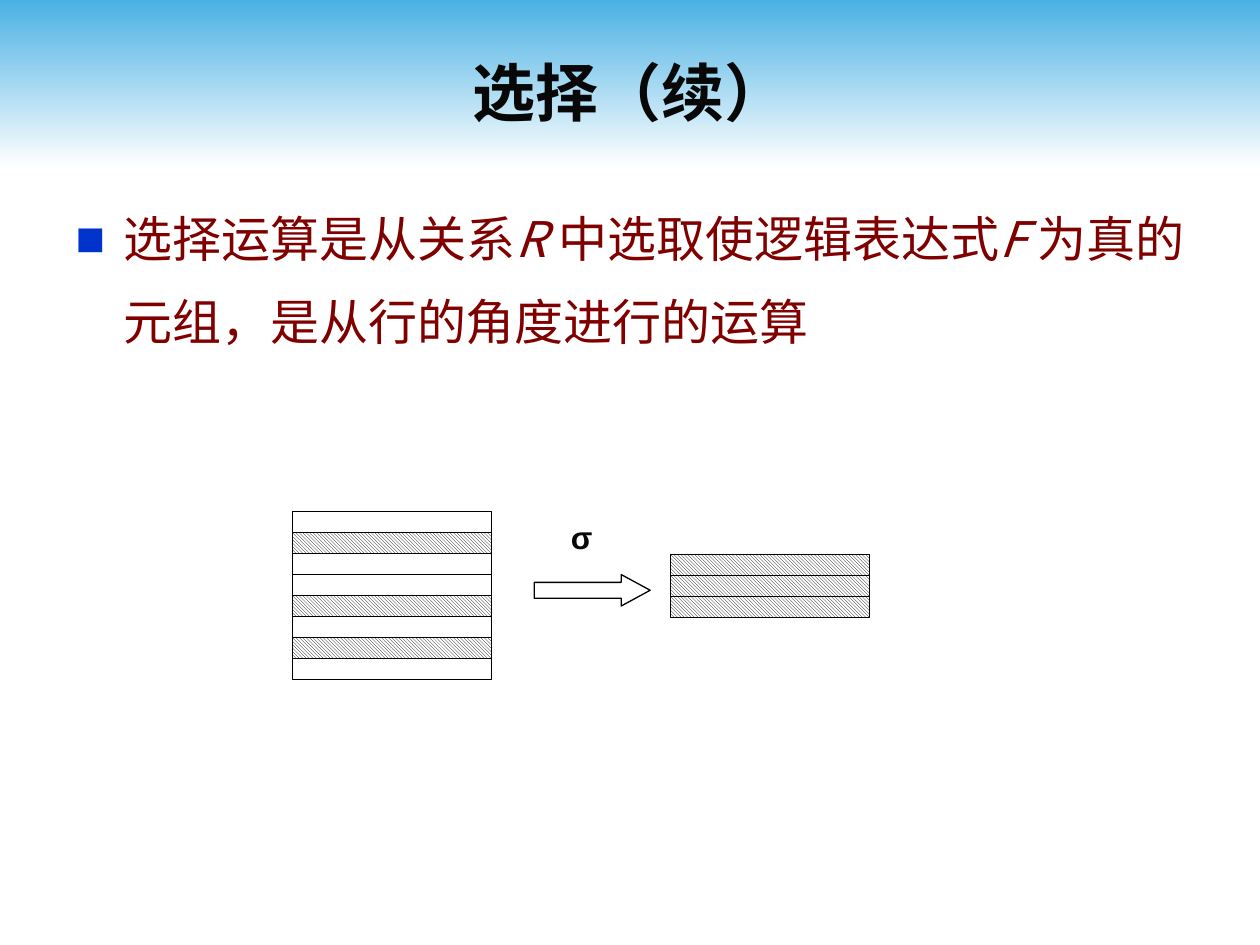
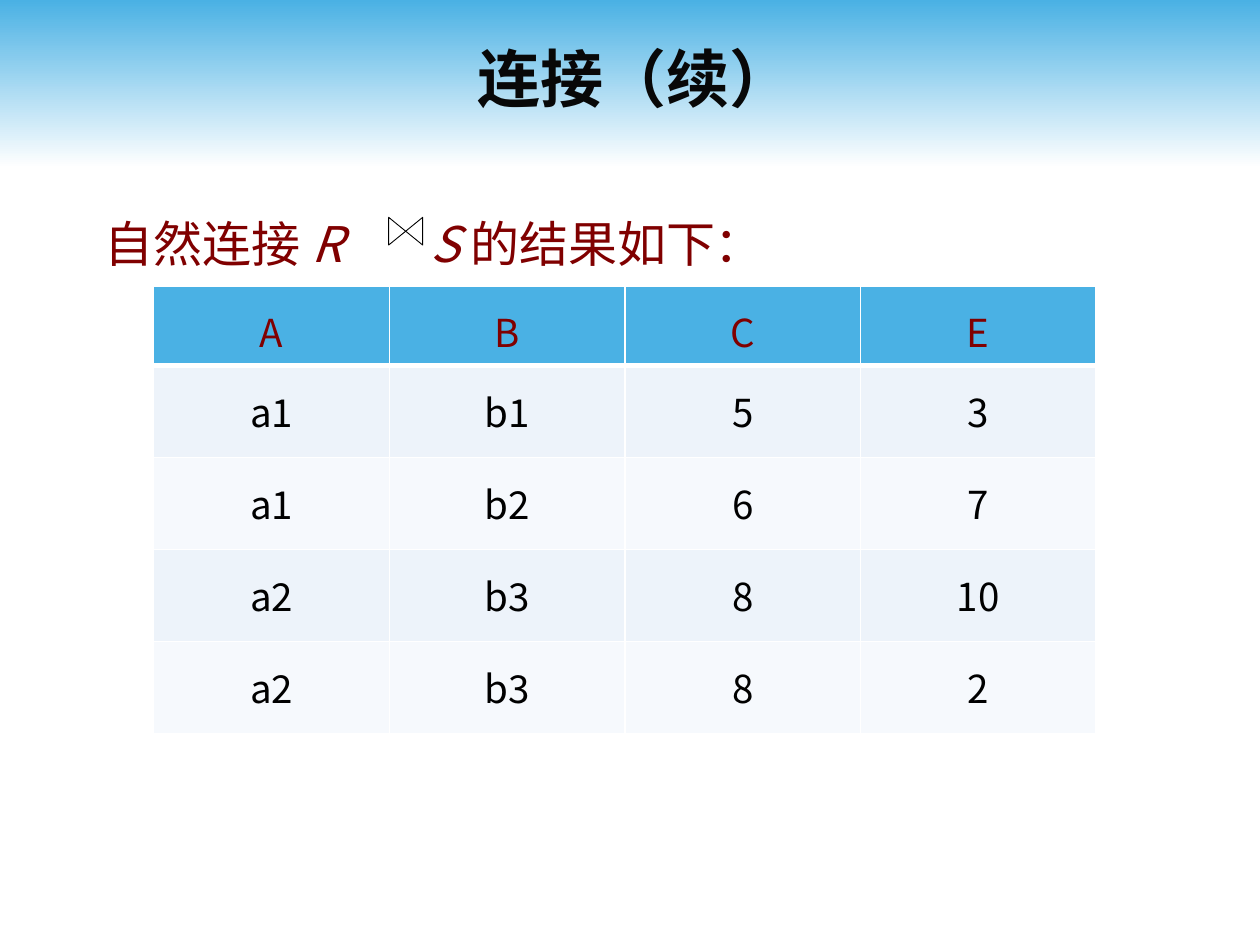
"""Build two slides on relational selection and natural join."""
from dataclasses import dataclass

from lxml import etree
from pptx import Presentation
from pptx import util as u
from pptx.dml.color import RGBColor
from pptx.enum import dml, shapes, text
from pptx.oxml import ns


@dataclass(frozen=True)
class Theme:
    """Colours, fonts and type sizes."""
    sky: str = "4AB1E4"
    white: str = "FFFFFF"
    black: str = "000000"
    ink: str = "080808"
    maroon: str = "800000"
    bullet: str = "0033CC"
    bands: tuple = ("EDF3FA", "F6F9FD")
    cjk: str = "Noto Sans CJK SC"
    latin: str = "Arial"
    title: int = 36
    body: int = 28
    cell: int = 22
    label: int = 18


def sub(parent, tag, **attrs):
    """Append a DrawingML element to parent."""
    return etree.SubElement(parent, ns.qn(tag), attrs)


class Deck:
    """Holds the theme and the current slide."""

    def __init__(self, theme):
        """Start an empty 10 by 7.5 inch presentation."""
        self.t = theme
        self.prs = Presentation()
        self.prs.slide_width, self.prs.slide_height = u.Inches(10), u.Inches(7.5)
        self.s = None

    def slide(self, title, at):
        """Add a slide with a formatted title."""
        self.s = self.prs.slides.add_slide(self.prs.slide_layouts[1])
        tf = self.place(self.s.shapes.title, at)
        tf.vertical_anchor = text.MSO_ANCHOR.MIDDLE
        p = tf.paragraphs[0]
        p.text = title
        p.alignment = text.PP_ALIGN.CENTER
        self.font(p, self.t.title, self.t.ink, bold=True)

    def master_band(self):
        """Put the gradient band at the back of the slide master."""
        band = self.shape(shapes.MSO_SHAPE.RECTANGLE, (0, 0, 10, 1.33), line=None)
        band.fill.gradient()
        band.fill.gradient_angle = 270
        for stop, colour in zip(band.fill.gradient_stops, (self.t.sky, self.t.white)):
            stop.color.rgb = RGBColor.from_string(colour)
        band.element.nvSpPr.cNvPr.set("id", "20")
        self.prs.slide_master.shapes.element.insert(2, band.element)

    def place(self, sp, at):
        """Move a shape and return its text frame."""
        sp.left, sp.top, sp.width, sp.height = map(u.Inches, at)
        tf = sp.text_frame
        tf.word_wrap = True
        tf.auto_size = text.MSO_AUTO_SIZE.NONE
        return tf

    def font(self, p, size, colour, name=None, bold=False):
        """Format a whole paragraph."""
        f = p.font
        f.size, f.bold, f.name = u.Pt(size), bold, name or self.t.cjk
        f.color.rgb = RGBColor.from_string(colour)
        sub(p._p.pPr.find(ns.qn("a:defRPr")), "a:ea", typeface=self.t.cjk)

    def body(self, at, runs, spacing, bullet=None, margin=0.1):
        """Fill the body placeholder with (text, italic, tracking) runs."""
        tf = self.place(self.s.placeholders[1], at)
        tf.margin_left = u.Inches(margin)
        p = tf.paragraphs[0]
        p.alignment = text.PP_ALIGN.JUSTIFY
        p.line_spacing, p.space_before = spacing, u.Pt(0)
        indent = u.Inches(0.38) if bullet else 0
        pPr = p._p.get_or_add_pPr()
        pPr.set("marL", str(indent))
        pPr.set("indent", str(-indent))
        if bullet:
            sub(sub(pPr, "a:buClr"), "a:srgbClr", val=self.t.bullet)
            sub(pPr, "a:buFont", typeface=self.t.latin)
            sub(pPr, "a:buChar", char=bullet)
        else:
            sub(pPr, "a:buNone")
        self.font(p, self.t.body, self.t.maroon)
        for words, italic, tracking in runs:
            r = p.add_run()
            r.text = words
            r.font.italic = italic
            if tracking:
                r._r.get_or_add_rPr().set("spc", str(tracking * 100))

    def shape(self, kind, at, line=0.75, hatched=False):
        """Add a white or hatched preset shape."""
        sp = self.s.shapes.add_shape(kind, *map(u.Inches, at))
        sp.shadow.inherit = False
        white, black = map(RGBColor.from_string, (self.t.white, self.t.black))
        if hatched:
            sp.fill.patterned()
            sp.fill.pattern = dml.MSO_PATTERN.LIGHT_DOWNWARD_DIAGONAL
            sp.fill.fore_color.rgb, sp.fill.back_color.rgb = black, white
        else:
            sp.fill.solid()
            sp.fill.fore_color.rgb = white
        if line:
            sp.line.color.rgb, sp.line.width = black, u.Pt(line)
        else:
            sp.line.fill.background()
        return sp

    def relation(self, left, top, rows, hatched):
        """Stack rows of a relation, hatching the selected ones."""
        for i in range(rows):
            self.shape(shapes.MSO_SHAPE.RECTANGLE, (left, top + i / 6, 1.58, 1 / 6),
                       hatched=i in hatched)

    def label(self, words, at):
        """Add a bold centred label."""
        tf = self.place(self.s.shapes.add_textbox(0, 0, 0, 0), at)
        p = tf.paragraphs[0]
        p.text = words
        p.alignment = text.PP_ALIGN.CENTER
        self.font(p, self.t.label, self.t.ink, self.t.latin, bold=True)

    def borders(self, cell, top, bottom):
        """Draw white cell borders with the given top and bottom widths."""
        tcPr = cell._tc.get_or_add_tcPr()
        for side, width in (("L", 1), ("R", 1), ("T", top), ("B", bottom)):
            ln = sub(tcPr, f"a:ln{side}", w=str(u.Pt(width)))
            sub(sub(ln, "a:solidFill"), "a:srgbClr", val=self.t.white)

    def table(self, at, rows, header_height, row_height):
        """Add a banded table with a header row."""
        frame = self.s.shapes.add_table(len(rows), len(rows[0]), *map(u.Inches, at))
        tbl = frame.table
        tbl.first_row = tbl.horz_banding = False
        for i, row in enumerate(rows):
            tbl.rows[i].height = u.Inches(row_height if i else header_height)
            for j, value in enumerate(row):
                cell = tbl.cell(i, j)
                self.borders(cell, 3 if i == 1 else 1, 1 if i else 3)
                cell.fill.solid()
                fill = self.t.bands[(i - 1) % 2] if i else self.t.sky
                cell.fill.fore_color.rgb = RGBColor.from_string(fill)
                p = cell.text_frame.paragraphs[0]
                p.text = value
                p.alignment, p.line_spacing = text.PP_ALIGN.CENTER, 1.2
                self.font(p, self.t.cell, self.t.black if i else self.t.maroon)


def selection(deck):
    """Show selection as picking rows of a relation."""
    deck.slide("选择（续）", (0.5, 0.25, 9, 0.95))
    deck.master_band()
    deck.body((0.5, 1.42, 9, 5.5),
              [("选择运算是从关系", False, 0), ("R ", True, 0),
               ("中选取使逻辑表达式", False, 0), ("F ", True, 0),
               ("为真的元组，是从行的角度进行的运算", False, 0)],
              1.4, bullet="■")
    deck.relation(2.32, 4.06, 8, {1, 4, 6})
    deck.relation(5.32, 4.4, 3, {0, 1, 2})
    arrow = deck.shape(shapes.MSO_SHAPE.RIGHT_ARROW, (4.24, 4.56, 0.92, 0.25))
    arrow.adjustments[1] = 0.92
    deck.label("σ", (4.24, 4.06, 0.75, 0.5))


def natural_join(deck):
    """Show the result of a natural join."""
    deck.slide("连接（续）", (1, 0.38, 8.08, 0.47))
    deck.body((0.5, 1.55, 9.07, 0.96),
              [("自然连接 ", False, 0), ("R", True, 0), (" ", True, 44),
               ("S ", True, 0), ("的结果如下：", False, 0)],
              1.2, margin=0.33)
    join = deck.shape(shapes.MSO_SHAPE.FLOWCHART_COLLATE, (3.11, 1.7, 0.22, 0.27), 0.5)
    join.rotation = 270
    deck.table((1.22, 2.27, 7.48, 3.47),
               [("A", "B", "C", "E"),
                ("a1", "b1", "5", "3"),
                ("a1", "b2", "6", "7"),
                ("a2", "b3", "8", "10"),
                ("a2", "b3", "8", "2")],
               0.55, 0.73)


def main():
    """Build and save the slides."""
    deck = Deck(Theme())
    selection(deck)
    natural_join(deck)
    deck.prs.save("out.pptx")


if __name__ == "__main__":
    main()
